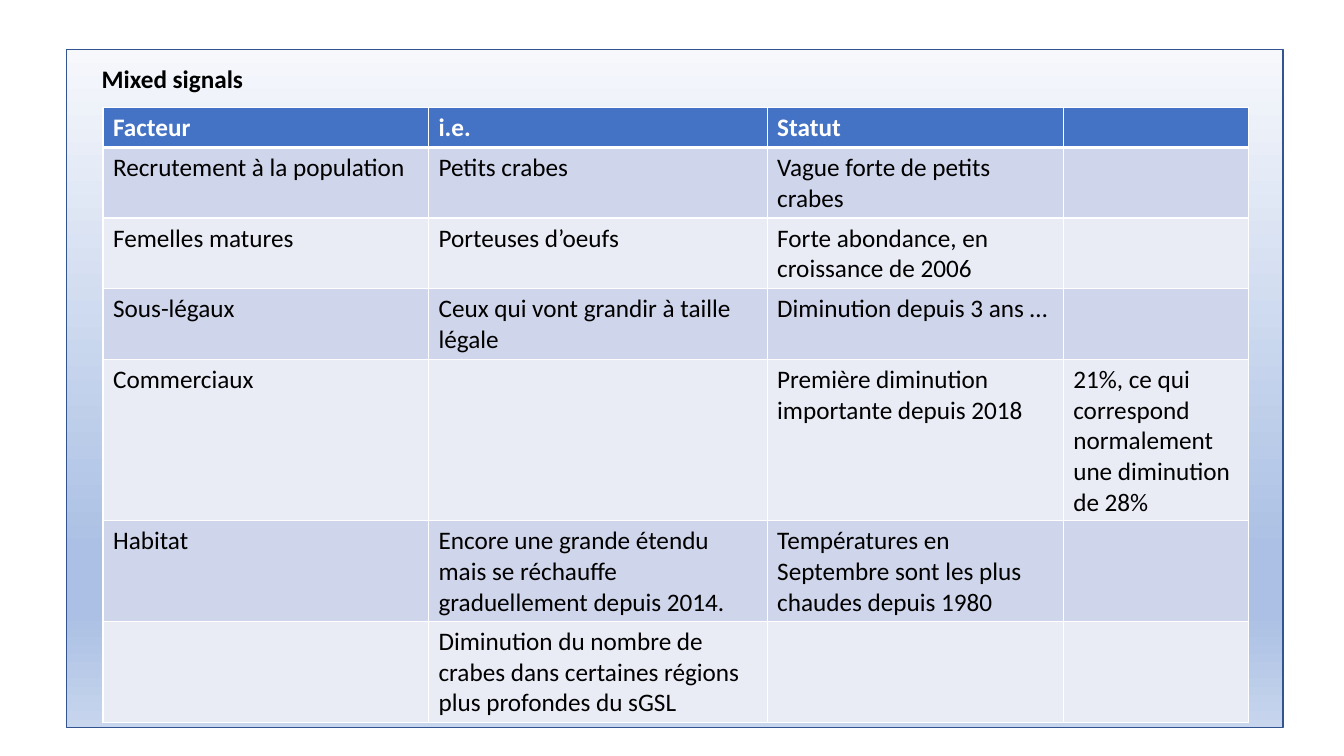
from typing import NamedTuple

from lxml import etree
from pptx import Presentation
from pptx import util as u
from pptx.dml.color import RGBColor
from pptx.enum import shapes, text
from pptx.oxml import ns

COLORS = {
    "outline": "325491",
    "header": "4472C4",
    "odd": "CFD5EA",
    "even": "E9EBF5",
    "border": "FFFFFF",
    "light": "FFFFFF",
    "dark": "000000",
}
PANEL_STOPS = [(0, "F6F8FC"), (74, "ABC0E4"), (83, "ABC0E4"), (100, "C7D5ED")]
COLUMN_WIDTHS = [232.5, 241.9, 211.5, 132.1]


class Row(NamedTuple):
    height: float
    cells: tuple[str, str, str, str]


ROWS = [
    Row(28.8, ("Facteur", "i.e.", "Statut", "")),
    Row(50.4, ("Recrutement à la population", "Petits crabes",
               "Vague forte de petits crabes", "")),
    Row(50.4, ("Femelles matures", "Porteuses d’oeufs",
               "Forte abondance, en croissance de 2006", "")),
    Row(50.4, ("Sous-légaux", "Ceux qui vont grandir à taille légale",
               "Diminution depuis 3 ans …", "")),
    Row(115.2, ("Commerciaux", "", "Première diminution importante depuis 2018",
                "21%, ce qui correspond normalement une diminution de 28%")),
    Row(72, ("Habitat",
             "Encore une grande étendu mais se réchauffe graduellement depuis 2014.",
             "Températures en Septembre sont les plus chaudes depuis 1980", "")),
    Row(72, ("", "Diminution du nombre de crabes dans certaines régions "
                 "plus profondes du sGSL", "", "")),
]


def rgb(name: str) -> RGBColor:
    return RGBColor.from_string(COLORS[name])


def add_node(parent, tag: str, **attributes: str):
    node = etree.SubElement(parent, ns.qn(tag))
    for key, value in attributes.items():
        node.set(key, value)
    return node


def write(para, content: str, color: str, bold: bool) -> None:
    span = para.add_run()
    span.text = content
    formats = {"name": "Calibri", "size": u.Pt(18), "bold": bold}
    for key, value in formats.items():
        setattr(span.font, key, value)
    span.font.color.rgb = rgb(color)


def add_panel(page) -> None:
    panel = page.shapes.add_shape(shapes.MSO_SHAPE.RECTANGLE, u.Pt(47.5), u.Pt(35.3),
                                  u.Pt(869), u.Pt(484.6))
    panel.shadow.inherit = False
    panel.line.color.rgb = rgb("outline")
    panel.line.width = u.Pt(1)
    panel.fill.gradient()
    gradient = panel.element.spPr.find(ns.qn("a:gradFill"))
    for child in list(gradient):
        gradient.remove(child)
    stops = add_node(gradient, "a:gsLst")
    for percent, color in PANEL_STOPS:
        stop = add_node(stops, "a:gs", pos=str(percent * 1000))
        add_node(stop, "a:srgbClr", val=color)
    add_node(gradient, "a:lin", ang="5400000", scaled="0")


def add_title(page) -> None:
    box = page.shapes.add_textbox(u.Pt(63.4), u.Pt(41.8), u.Pt(119.5), u.Pt(29))
    formats = {"word_wrap": False, "auto_size": text.MSO_AUTO_SIZE.SHAPE_TO_FIT_TEXT}
    for key, value in formats.items():
        setattr(box.text_frame, key, value)
    para = box.text_frame.paragraphs[0]
    para.alignment = text.PP_ALIGN.CENTER
    write(para, "Mixed signals", "dark", True)


def set_borders(cell, top: float, bottom: float) -> None:
    """Draw the cell's four edges; left and right are 1 point wide."""
    properties = cell._tc.get_or_add_tcPr()
    edges = {"a:lnL": 1, "a:lnR": 1, "a:lnT": top, "a:lnB": bottom}
    for position, (tag, width) in enumerate(edges.items()):
        edge = add_node(properties, tag, w=str(u.Pt(width)))
        fill = add_node(edge, "a:solidFill")
        add_node(fill, "a:srgbClr", val=COLORS["border"])
        properties.insert(position, edge)


def add_factor_table(page) -> None:
    frame = page.shapes.add_table(len(ROWS), len(COLUMN_WIDTHS), u.Pt(73.6), u.Pt(76.5),
                                  u.Pt(sum(COLUMN_WIDTHS)),
                                  u.Pt(sum(row.height for row in ROWS)))
    table = frame.table
    for column, width in zip(table.columns, COLUMN_WIDTHS):
        column.width = u.Pt(width)
    for index, row in enumerate(ROWS):
        table.rows[index].height = u.Pt(row.height)
        header = index == 0
        band = "header" if header else "odd" if index % 2 else "even"
        for cell, content in zip(table.rows[index].cells, row.cells):
            cell.fill.solid()
            cell.fill.fore_color.rgb = rgb(band)
            set_borders(cell, 3 if index == 1 else 1, 3 if header else 1)
            para = cell.text_frame.paragraphs[0]
            para.font.size = u.Pt(18)
            if content:
                write(para, content, "light" if header else "dark", header)


def main() -> None:
    deck = Presentation()
    deck.slide_width, deck.slide_height = u.Pt(960), u.Pt(540)
    page = deck.slides.add_slide(deck.slide_layouts[6])
    add_panel(page)
    add_title(page)
    add_factor_table(page)
    deck.save("out.pptx")


if __name__ == "__main__":
    main()
